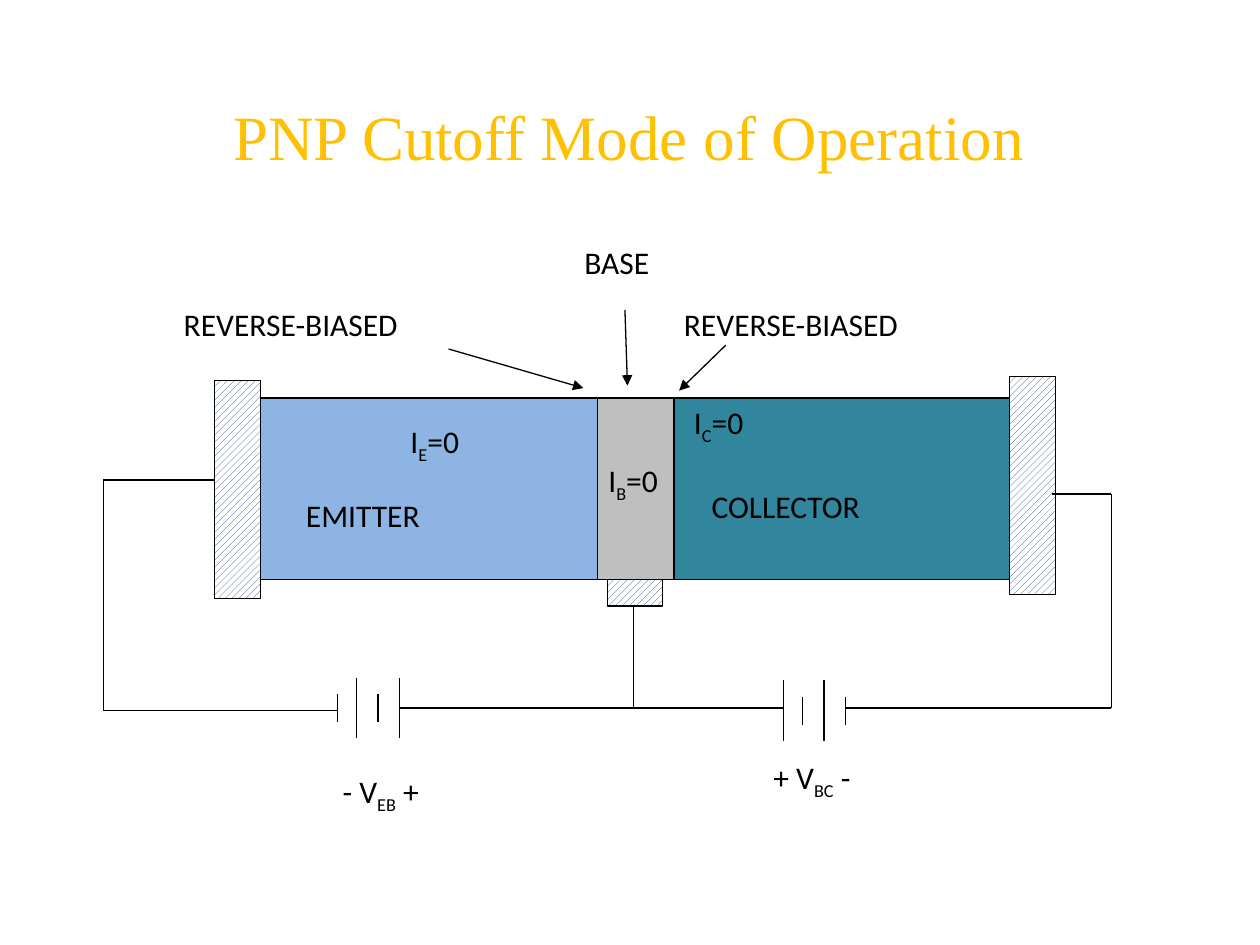
from dataclasses import dataclass

from lxml import etree
from pptx import Presentation
from pptx import util as u
from pptx.dml.color import RGBColor
from pptx.enum import dml, shapes, text
from pptx.oxml.ns import qn

COLUMNS, ROWS = 100, 75  # grid laid over the whole slide


@dataclass(frozen=True)
class Theme:
    ink: str = "000000"
    paper: str = "FFFFFF"
    title: str = "FFC000"
    emitter: str = "8EB4E3"
    base: str = "BFBFBF"
    collector: str = "31859C"
    hatch: str = "1F497D"
    title_font: str = "Times New Roman"
    label_font: str = "Calibri"
    title_size: float = 36
    label_size: float = 18
    line_width: float = 0.75


THEME = Theme()
SLIDE_WIDTH, SLIDE_HEIGHT = u.Inches(10), u.Inches(7.5)


def grid(*lengths):
    """Turn alternating column and row counts into slide lengths."""
    units = (SLIDE_WIDTH / COLUMNS, SLIDE_HEIGHT / ROWS)
    return [u.Emu(round(length * units[i % 2])) for i, length in enumerate(lengths)]


def color(value):
    return RGBColor.from_string(value)


def write(frame, content, *, font=THEME.label_font, size=THEME.label_size,
          ink=THEME.ink, anchor=text.MSO_ANCHOR.TOP):
    """Write one left-aligned line; parts between underscores are subscripts."""
    frame.word_wrap = True
    frame.vertical_anchor = anchor
    paragraph = frame.paragraphs[0]
    paragraph.alignment = text.PP_ALIGN.LEFT
    for i, part in enumerate(content.split("_")):
        run = paragraph.add_run()
        run.text = part
        run.font.name, run.font.size = font, u.Pt(size)
        run.font.color.rgb = color(ink)
        if i % 2:
            run.font._element.set("baseline", "-25000")


def add_title(slide, content, *box):
    title = slide.shapes.title
    title.left, title.top, title.width, title.height = grid(*box)
    frame = title.text_frame
    frame.margin_left = frame.margin_right = frame.margin_top = frame.margin_bottom = 0
    write(frame, content, font=THEME.title_font, size=THEME.title_size,
          ink=THEME.title, anchor=text.MSO_ANCHOR.MIDDLE)


def add_label(slide, content, left, top, width, height=4):
    box = slide.shapes.add_textbox(*grid(left, top, width, height))
    write(box.text_frame, content)


def add_block(slide, *box, fill=None):
    """Draw a semiconductor region, or a hatched contact when no fill is given."""
    block = slide.shapes.add_shape(shapes.MSO_SHAPE.RECTANGLE, *grid(*box))
    block.shadow.inherit = False
    if fill:
        block.fill.solid()
        block.fill.fore_color.rgb = color(fill)
    else:
        block.fill.patterned()
        block.fill.pattern = dml.MSO_PATTERN.WIDE_UPWARD_DIAGONAL
        block.fill.fore_color.rgb = color(THEME.hatch)
        block.fill.back_color.rgb = color(THEME.paper)
    block.line.color.rgb = color(THEME.ink)
    block.line.width = u.Pt(THEME.line_width)


def add_line(slide, start, end, arrow=False):
    line = slide.shapes.add_connector(shapes.MSO_CONNECTOR.STRAIGHT, *grid(*start, *end))
    line.line.color.rgb = color(THEME.ink)
    line.line.width = u.Pt(THEME.line_width)
    properties = line._element.spPr
    if arrow:
        etree.SubElement(properties.find(qn("a:ln")), qn("a:tailEnd"), type="triangle")
    etree.SubElement(properties, qn("a:effectLst"))


def add_wire(slide, *points):
    for start, end in zip(points, points[1:]):
        add_line(slide, start, end)


def add_battery(slide, left, middle, long_first):
    """Draw four plates, alternately long and short."""
    for i, offset in enumerate((0, 1.5, 3.2, 4.9)):
        half = 2.4 if (i % 2 == 0) == long_first else 1.1
        add_line(slide, (left + offset, middle - half), (left + offset, middle + half))


def main():
    presentation = Presentation()
    presentation.slide_width, presentation.slide_height = SLIDE_WIDTH, SLIDE_HEIGHT
    slide = presentation.slides.add_slide(presentation.slide_layouts[5])
    add_title(slide, "PNP Cutoff Mode of Operation", 18.5, 7.7, 69.8, 6.1)

    # Transistor regions
    for left, width, fill in ((20.7, 26.7, THEME.emitter), (47.4, 6.3, THEME.base),
                              (53.5, 26.7, THEME.collector)):
        add_block(slide, left, 31.6, width, 14.4, fill=fill)

    # Contacts: emitter, collector, base
    add_block(slide, 17, 30.2, 3.7, 17.3)
    add_block(slide, 80.1, 29.9, 3.7, 17.3)
    add_block(slide, 48.2, 46, 4.4, 2.1)

    # Circuit
    add_wire(slide, (17.1, 38.1), (8.2, 38.1), (8.2, 56.4), (26.8, 56.4))
    add_wire(slide, (31.7, 56.2), (62.2, 56.2))
    add_wire(slide, (67.1, 56.2), (88.2, 56.2), (88.2, 39.2), (83.5, 39.2))
    add_wire(slide, (50.3, 48.2), (50.3, 56.2))
    add_battery(slide, 26.8, 56.2, long_first=False)
    add_battery(slide, 62.2, 56.4, long_first=True)

    # Pointers to the junctions and the base
    for start, end in (((35.6, 27.7), (46.3, 30.8)), ((49.6, 24.6), (49.8, 30.6)),
                       ((57.6, 27.4), (53.9, 31))):
        add_line(slide, start, end, arrow=True)

    # Labels: content, left, top, width
    for label in (
        ("BASE", 45.4, 18.8, 8.7),
        ("REVERSE-BIASED", 13.6, 23.7, 24),
        ("REVERSE-BIASED", 53.3, 23.7, 24),
        ("EMITTER", 23.3, 38.9, 13),
        ("COLLECTOR", 55.5, 38.2, 17.3),
        ("I_E_=0", 31.6, 33, 7),
        ("I_B_=0", 47.3, 36.1, 7.4),
        ("I_C_=0", 54.1, 31.5, 7.4),
        ("- V_EB_ +", 26.2, 60.8, 11.8),
        ("+ V_BC_ -", 60.4, 59.7, 9.7),
    ):
        add_label(slide, *label)

    presentation.save("out.pptx")


if __name__ == "__main__":
    main()
